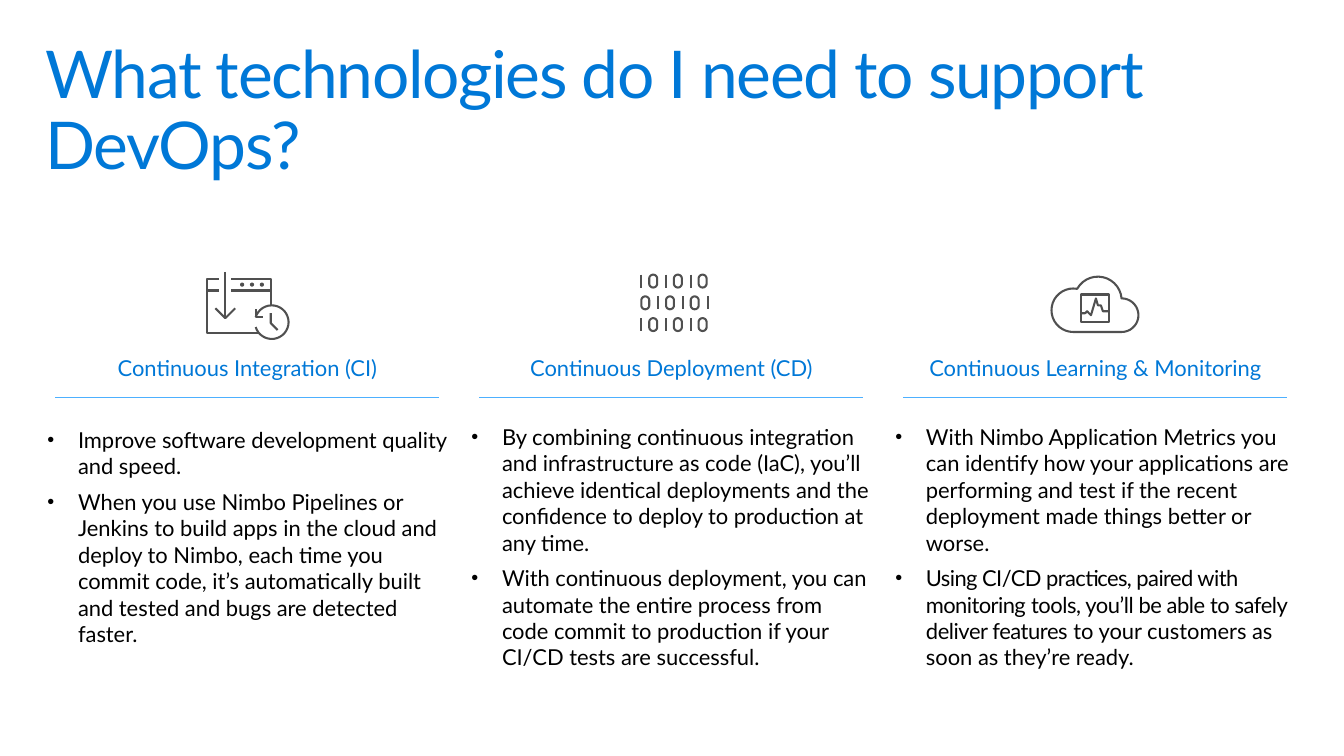
import math

import lxml.etree
import pptx
import pptx.dml.color
import pptx.enum.shapes
import pptx.enum.text
import pptx.oxml.ns
import pptx.util

PX = 9144  # one hundredth of an inch
FONT = "Lato"
BLUE, RULE_BLUE, GREY, BLACK, WHITE = "0078D7", "4DB0FF", "505050", "000000", "FFFFFF"
COLUMN_LEFT, COLUMN_TOP, COLUMN_PITCH, COLUMN_WIDTH = 48, 359, 429, 405


def px(n):
    return pptx.util.Emu(round(n * PX))


def color(hex_string):
    return pptx.dml.color.RGBColor.from_string(hex_string)


def sub(parent, tag, **attributes):
    return lxml.etree.SubElement(parent, pptx.oxml.ns.qn(tag), **attributes)


def place(sp, left, top, width, height):
    sp.left, sp.top, sp.width, sp.height = px(left), px(top), px(width), px(height)
    tf = sp.text_frame
    tf.word_wrap = True
    tf.auto_size = pptx.enum.text.MSO_AUTO_SIZE.NONE
    tf.vertical_anchor = pptx.enum.text.MSO_ANCHOR.TOP
    return tf


def set_margins(tf, x, y):
    tf.margin_left = tf.margin_right = px(x)
    tf.margin_top = tf.margin_bottom = px(y)


def style(r, size, hex_string, spacing=0):
    """Format a run; spacing is the tracking in hundredths of a point."""
    r.font.name = FONT
    r.font.size = pptx.util.Pt(size)
    r.font.bold = False
    r.font.color.rgb = color(hex_string)
    if spacing:
        r._r.get_or_add_rPr().set("spc", str(spacing))


def arc(cx, cy, radius, start, end):
    """Points of an arc in degrees, clockwise from the right."""
    steps = max(8, abs(end - start) // 10)
    angles = [math.radians(start + (end - start) * i / steps) for i in range(steps + 1)]
    return [(cx + radius * math.cos(a), cy + radius * math.sin(a)) for a in angles]


def outline(s, left, top, contours, fill=None):
    """Draw contours, given relative to left and top, as one shape."""
    contours = [[(px(x), px(y)) for x, y in points] for points in contours]
    builder = s.shapes.build_freeform(*contours[0][0])
    for i, points in enumerate(contours):
        if i:
            builder.move_to(*points[0])
        builder.add_line_segments(points[1:], close=False)
    sp = builder.convert_to_shape(px(left), px(top))
    sp.shadow.inherit = False
    if fill:
        sp.fill.solid()
        sp.fill.fore_color.rgb = color(fill)
    else:
        sp.fill.background()
    sp.line.color.rgb = color(GREY)
    sp.line.width = pptx.util.Pt(1.5)


def build_icon(s, left, top):
    """Window with a download arrow and a clock."""
    left, top = left + 161, top - 84
    window = [
        [(25, 7), (65, 7), (65, 62), (0, 62), (0, 7), (13, 7)],
        [(25, 19), (65, 19)],
        [(0, 19), (13, 19)],
        [(9, 37), (19, 47), (29, 37)],
        [(19, 0), (19, 47)],
    ]
    window += [arc(x, 13, 1, 0, 360) for x in (36, 46, 56)]
    outline(s, left, top, window, WHITE)
    clock = [
        [(22, 24), (15, 17), (15, 7)],
        [(0, 3), (0, 11), (7, 11)],
        arc(16, 16, 17, 163, -163),
    ]
    outline(s, left + 50, top + 35, clock, WHITE)


def binary_icon(s, left, top):
    contours = []
    for row, digits in enumerate(("101010", "010101", "101010")):
        x, y = 0, row * 22
        for digit in digits:
            if digit == "1":
                contours.append([(x, y), (x, y + 13)])
                x += 8
            else:
                zero = arc(x + 4, y + 4, 4, 180, 360) + arc(x + 4, y + 9, 4, 0, 180)
                contours.append(zero + zero[:1])
                x += 17
    outline(s, left + 172, top - 81, contours)


def cloud_icon(s, left, top):
    """Cloud with a pulse monitor."""
    left, top = left + 158, top - 79
    cloud = arc(22, 34, 22, 90, 280) + arc(47, 24, 24, -150, -5) + arc(71, 39, 17, -90, 90)
    outline(s, left, top, [cloud + cloud[:1]])
    frame = [(0, 28), (0, 0), (28, 0), (28, 28), (0, 28)]
    pulse = [(28, 17), (22, 17), (20, 11), (17, 11), (15, 4),
             (10, 21), (6, 17), (4, 19), (0, 19)]
    outline(s, left + 30, top + 18, [frame, pulse])


def rule(s, left, top, width):
    line = s.shapes.add_connector(
        pptx.enum.shapes.MSO_CONNECTOR.STRAIGHT, px(left), px(top), px(left + width), px(top))
    line.line.color.rgb = color(RULE_BLUE)
    line.line.width = pptx.util.Pt(1)
    sub(line._element.spPr, "a:effectLst")


def title(s, text):
    tf = place(s.shapes.title, 30, 32, 1300, 100)
    set_margins(tf, 16, 10)
    tf.text = text
    p = tf.paragraphs[0]
    p.alignment = pptx.enum.text.PP_ALIGN.LEFT
    p.line_spacing = 0.9
    style(p.runs[0], 48, BLUE, -100)


def column(s, sp, left, height, heading, heading_gap, bullets, icon):
    """Icon, heading, rule and bullets; a bullet is a list of (text, tracking)."""
    tf = place(sp, left, COLUMN_TOP, COLUMN_WIDTH, height)
    set_margins(tf, 0, 0)
    tf.text = heading
    p = tf.paragraphs[0]
    pPr = p._p.get_or_add_pPr()
    pPr.set("marL", "0")
    pPr.set("indent", "0")
    sub(pPr, "a:buNone")
    p.alignment = pptx.enum.text.PP_ALIGN.CENTER
    p.space_before = pptx.util.Pt(0)
    p.space_after = pptx.util.Pt(heading_gap)
    style(p.runs[0], 16, BLUE)
    for bullet in bullets:
        p = tf.add_paragraph()
        pPr = p._p.get_or_add_pPr()
        pPr.set("marL", str(px(31)))
        pPr.set("indent", str(px(-31)))
        sub(pPr, "a:buSzPct", val="90000")
        sub(pPr, "a:buFont", typeface="Arial")
        sub(pPr, "a:buChar", char="•")
        p.alignment = pptx.enum.text.PP_ALIGN.LEFT
        p.space_before = pptx.util.Pt(0)
        p.space_after = pptx.util.Pt(7)
        for text, spacing in bullet:
            r = p.add_run()
            r.text = text
            style(r, 16, BLACK, spacing)
    rule(s, left + 8, COLUMN_TOP + 43, 388)
    icon(s, left, COLUMN_TOP)


COLUMNS = [
    (290, "Continuous Integration (CI)", 33, [
        [("Improve software development quality and speed.", 0)],
        [("When you use Nimbo Pipelines or Jenkins to build apps in the cloud and deploy to "
          "Nimbo, each time you commit code, it’s automatically built and tested and bugs "
          "are detected faster.", 0)],
    ], build_icon),
    (413, "Continuous Deployment (CD)", 31, [
        [("By combining continuous integration and infrastructure as code (IaC), you’ll achieve "
          "identical deployments and the confidence to deploy to production at any time.", 0)],
        [("With continuous deployment, you can automate the entire process from code commit to "
          "production if your CI/CD tests are successful.", 0)],
    ], binary_icon),
    (322, "Continuous Learning & Monitoring", 31, [
        [("With Nimbo Application Metrics you can identify how your applications are performing "
          "and test if the recent deployment made things better or worse.", 0)],
        [("Using CI/CD practices, paired with monitoring ", -40),
         ("tools, you’ll be able to safely deliver features", -30),
         (" to your customers as soon as they’re ready.", 0)],
    ], cloud_icon),
]


def main():
    prs = pptx.Presentation()
    prs.slide_width, prs.slide_height = px(1360), px(765)
    s = prs.slides.add_slide(prs.slide_layouts.get_by_name("Comparison"))
    title(s, "What technologies do I need to support DevOps?")
    *bodies, spare = list(s.placeholders)[1:]
    spare._element.getparent().remove(spare._element)
    for i, (sp, content) in enumerate(zip(bodies, COLUMNS)):
        column(s, sp, COLUMN_LEFT + i * COLUMN_PITCH, *content)
    prs.save("out.pptx")


if __name__ == "__main__":
    main()
